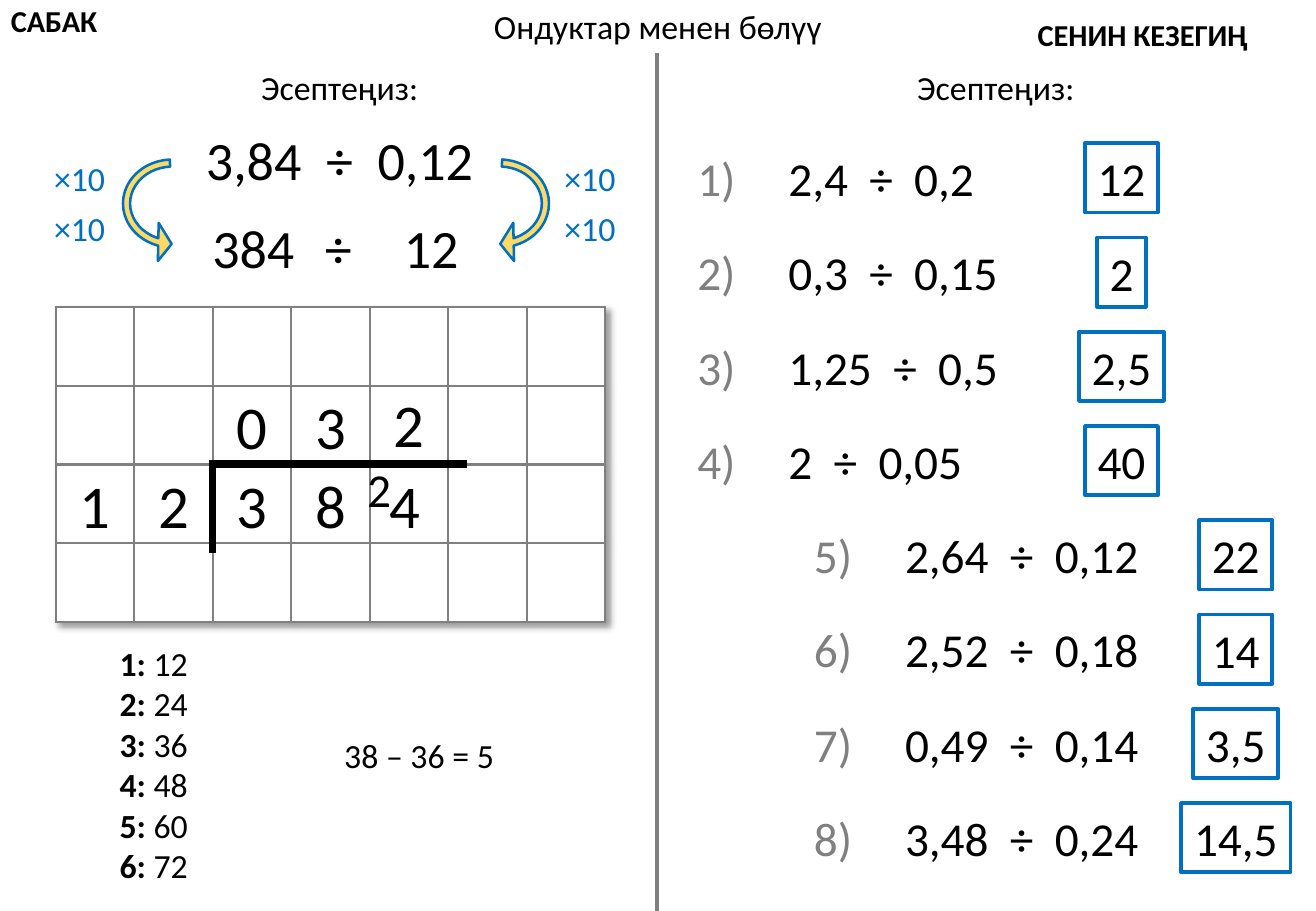
"""Build a lesson slide on dividing by decimals."""
from dataclasses import dataclass
from typing import Optional

from lxml import etree
from pptx import Presentation
from pptx.dml.color import RGBColor
from pptx.enum.shapes import MSO_CONNECTOR, MSO_SHAPE
from pptx.enum.text import MSO_ANCHOR, MSO_AUTO_SIZE, PP_ALIGN
from pptx.oxml.ns import qn
from pptx.shapes.autoshape import Shape
from pptx.slide import Slide
from pptx.util import Inches, Pt

LEFT, CENTER = PP_ALIGN.LEFT, PP_ALIGN.CENTER
MIDDLE = MSO_ANCHOR.MIDDLE
GROW = MSO_AUTO_SIZE.SHAPE_TO_FIT_TEXT
RECTANGLE, ARC_ARROW = MSO_SHAPE.RECTANGLE, MSO_SHAPE.CIRCULAR_ARROW
STRAIGHT = MSO_CONNECTOR.STRAIGHT


@dataclass(frozen=True)
class Theme:
    font: str = "Calibri"
    black: str = "000000"
    white: str = "FFFFFF"
    gray: str = "808080"
    blue: str = "0070C0"
    yellow: str = "FFD966"
    label: int = 18
    body: int = 20
    exercise: int = 28
    example: int = 32
    digit: int = 36


@dataclass(frozen=True)
class Box:
    left: float
    top: float
    width: float
    height: float


@dataclass(frozen=True)
class Span:
    text: str
    color: str = "000000"
    bold: bool = False
    spacing: float = 0


@dataclass(frozen=True)
class Exercise:
    division: str
    answer: str


@dataclass(frozen=True)
class Digit:
    text: str
    row: int
    column: int
    shift: float = 0
    lift: float = 0


THEME = Theme()
GRID = Box(0.46, 2.53, 4.52, 2.59)
GRID_ROWS, GRID_COLUMNS = 4, 7
EXERCISES = [
    Exercise("2,4÷0,2", "12"), Exercise("0,3÷0,15", "2"),
    Exercise("1,25÷0,5", "2,5"), Exercise("2÷0,05", "40"),
    Exercise("2,64÷0,12", "22"), Exercise("2,52÷0,18", "14"),
    Exercise("0,49÷0,14", "3,5"), Exercise("3,48÷0,24", "14,5"),
]
DIGITS = [
    Digit("0", 1, 2), Digit("3", 1, 3), Digit("2", 1, 4, lift=0.02),
    Digit("1", 2, 0), Digit("2", 2, 1), Digit("3", 2, 2),
    Digit("8", 2, 3), Digit("4", 2, 4, shift=-0.03),
]


def rgb(color: str) -> RGBColor:
    """Turn a hex colour into a colour value."""
    return RGBColor.from_string(color)


def write(shape: Shape, lines: list[list[Span]], *, size: int, align: PP_ALIGN = CENTER,
          wrap: bool = False, tab: Optional[float] = None) -> None:
    """Fill a shape with lines of formatted spans."""
    frame = shape.text_frame
    frame.word_wrap = wrap
    frame.auto_size = GROW
    for index, spans in enumerate(lines):
        paragraph = frame.paragraphs[0] if index == 0 else frame.add_paragraph()
        paragraph.alignment = align
        if tab is not None:
            stops = etree.SubElement(paragraph._p.get_or_add_pPr(), qn("a:tabLst"))
            etree.SubElement(stops, qn("a:tab"), pos=str(Inches(tab)), algn="l")
        for span in spans:
            run = paragraph.add_run()
            run.text = span.text
            run.font.name, run.font.size = THEME.font, Pt(size)
            run.font.bold = span.bold
            run.font.color.rgb = rgb(span.color)
            if span.spacing:
                run.font._element.set("spc", str(round(span.spacing * 100)))


def add_text(slide: Slide, box: Box, *lines: list[Span], **style) -> None:
    """Add a text box holding formatted lines."""
    label = slide.shapes.add_textbox(
        Inches(box.left), Inches(box.top), Inches(box.width), Inches(box.height))
    write(label, list(lines), **style)


def division_spans(division: str, size: int) -> list[Span]:
    """Set a division with wide gaps around its sign."""
    dividend, divisor = division.split("÷")
    gap = Span(" ", spacing=round(size * 0.226, 2))
    return [Span(dividend), gap, Span("÷"), gap, Span(divisor)]


def add_rule(slide: Slide, start: tuple[float, float], end: tuple[float, float],
             color: str, weight: float) -> None:
    """Draw a straight line without a shadow."""
    rule = slide.shapes.add_connector(
        STRAIGHT, *(Inches(value) for value in (*start, *end)))
    rule.line.color.rgb, rule.line.width = rgb(color), Pt(weight)
    etree.SubElement(rule._element.spPr, qn("a:effectLst"))


def add_outlined(slide: Slide, kind: MSO_SHAPE, box: Box, fill: str, weight: float) -> Shape:
    """Add a filled shape with a blue outline."""
    shape = slide.shapes.add_shape(
        kind, Inches(box.left), Inches(box.top), Inches(box.width), Inches(box.height))
    shape.shadow.inherit = False
    shape.fill.solid()
    shape.fill.fore_color.rgb = rgb(fill)
    shape.line.color.rgb, shape.line.width = rgb(THEME.blue), Pt(weight)
    return shape


def add_solid(parent: etree._Element, color: str) -> etree._Element:
    """Append a solid colour and return its colour element."""
    solid = etree.SubElement(parent, qn("a:solidFill"))
    return etree.SubElement(solid, qn("a:srgbClr"), val=color)


def add_grid(slide: Slide) -> None:
    """Draw the squared working grid with its soft shadow."""
    table = slide.shapes.add_table(
        GRID_ROWS, GRID_COLUMNS, Inches(GRID.left), Inches(GRID.top),
        Inches(GRID.width), Inches(GRID.height)).table
    table.first_row = table.horz_banding = False
    effects = etree.Element(qn("a:effectLst"))
    shadow = etree.SubElement(effects, qn("a:outerShdw"), blurRad=str(Pt(4)), dist=str(Pt(3)),
                              dir="2700000", algn="tl", rotWithShape="0")
    tint = etree.SubElement(shadow, qn("a:srgbClr"), val=THEME.black)
    etree.SubElement(tint, qn("a:alpha"), val="40000")
    table._tbl.tblPr.insert(0, effects)
    for cell in table.iter_cells():
        properties = cell._tc.get_or_add_tcPr()
        for side in ("lnL", "lnR", "lnT", "lnB"):
            add_solid(etree.SubElement(properties, qn(f"a:{side}"), w=str(Pt(1.5))), THEME.gray)
        cell.fill.solid()
        cell.fill.fore_color.rgb = rgb(THEME.white)


def add_long_division(slide: Slide) -> None:
    """Draw the worked long division on the grid."""
    add_grid(slide)
    add_rule(slide, (1.72, 3.82), (3.84, 3.82), THEME.black, 4.5)
    add_rule(slide, (1.75, 3.81), (1.75, 4.55), THEME.black, 4.5)
    pitch_x, pitch_y = GRID.width / GRID_COLUMNS, GRID.height / GRID_ROWS
    for digit in DIGITS:
        left = GRID.left + (digit.column + 0.5) * pitch_x - 0.23 + digit.shift
        top = GRID.top + (digit.row + 0.5) * pitch_y - 0.35 - digit.lift
        add_text(slide, Box(left, top, 0.46, 0.71), [Span(digit.text)], size=THEME.digit)
    add_text(slide, Box(2.92, 3.74, 0.4, 0.57), [Span("2")], size=THEME.exercise)
    multiples = [[Span(f"{n}:", bold=True), Span(f" {12 * n}")] for n in range(1, 7)]
    add_text(slide, Box(0.88, 5.24, 0.77, 2.12), *multiples, size=THEME.body)
    add_text(slide, Box(2.73, 6, 1.44, 0.44), [Span("38 – 36 = 5")], size=THEME.body)


def add_scaling(slide: Slide) -> None:
    """Show both numbers being multiplied by ten twice."""
    add_text(slide, Box(1.58, 0.99, 2.43, 0.64),
             division_spans("3,84÷0,12", THEME.example), size=THEME.example)
    for text, left, width in (("384", 1.64, 0.89), ("÷", 2.57, 0.43), ("12", 3.22, 0.66)):
        add_text(slide, Box(left, 1.72, width, 0.64), [Span(text)], size=THEME.example)
    for arrow_left, factor_left, mirrored in ((3.62, 4.54, False), (0.93, 0.34, True)):
        arrow = add_outlined(slide, ARC_ARROW, Box(arrow_left, 1.14, 0.98, 1.07),
                             THEME.yellow, 1.5)
        for index, value in enumerate((0.06, 11.42, 203.85, 110.16, 0.16)):
            arrow.adjustments[index] = value
        arrow.rotation = 90
        if mirrored:
            arrow._element.spPr.xfrm.set("flipV", "1")
        for top in (1.25, 1.66):
            add_text(slide, Box(factor_left, top, 0.63, 0.44),
                     [Span("×10", THEME.blue)], size=THEME.body)


def add_exercises(slide: Slide) -> None:
    """List the exercises with their boxed answers."""
    for index, exercise in enumerate(EXERCISES):
        left, answer_center = (5.64, 9.23) if index < 4 else (6.6, 10.17)
        top = 1.18 + index * 0.776
        spans = [Span(f"{index + 1})\t", THEME.gray),
                 *division_spans(exercise.division, THEME.exercise)]
        add_text(slide, Box(left, top, 2.92, 0.57), spans,
                 size=THEME.exercise, align=LEFT, wrap=True, tab=0.75)
        width = 0.2 + sum(0.1 if mark == "," else 0.2 for mark in exercise.answer)
        answer = add_outlined(slide, RECTANGLE, Box(answer_center - width / 2, top, width, 0.57),
                              THEME.white, 2.25)
        answer.text_frame.vertical_anchor = MIDDLE
        write(answer, [[Span(exercise.answer)]], size=THEME.exercise)


def main() -> None:
    """Build and save the slide."""
    deck = Presentation()
    deck.slide_width, deck.slide_height = Inches(10.83), Inches(7.5)
    slide = deck.slides.add_slide(deck.slide_layouts[6])
    add_rule(slide, (5.41, 0.44), (5.41, 7.5), THEME.gray, 2.25)
    for text, box in (("САБАК", Box(-0.01, -0.03, 1.01, 0.4)),
                      ("СЕНИН КЕЗЕГИҢ", Box(8.44, 0.08, 2.27, 0.4))):
        add_text(slide, box, [Span(text, bold=True)], size=THEME.label, align=LEFT)
    for text, box in (("Ондуктар менен бөлүү", Box(3.95, 0, 2.93, 0.44)),
                      ("Эсептеңиз:", Box(2.04, 0.5, 1.51, 0.44)),
                      ("Эсептеңиз:", Box(7.44, 0.5, 1.51, 0.44))):
        add_text(slide, box, [Span(text)], size=THEME.body)
    add_scaling(slide)
    add_long_division(slide)
    add_exercises(slide)
    deck.save("out.pptx")


if __name__ == "__main__":
    main()
